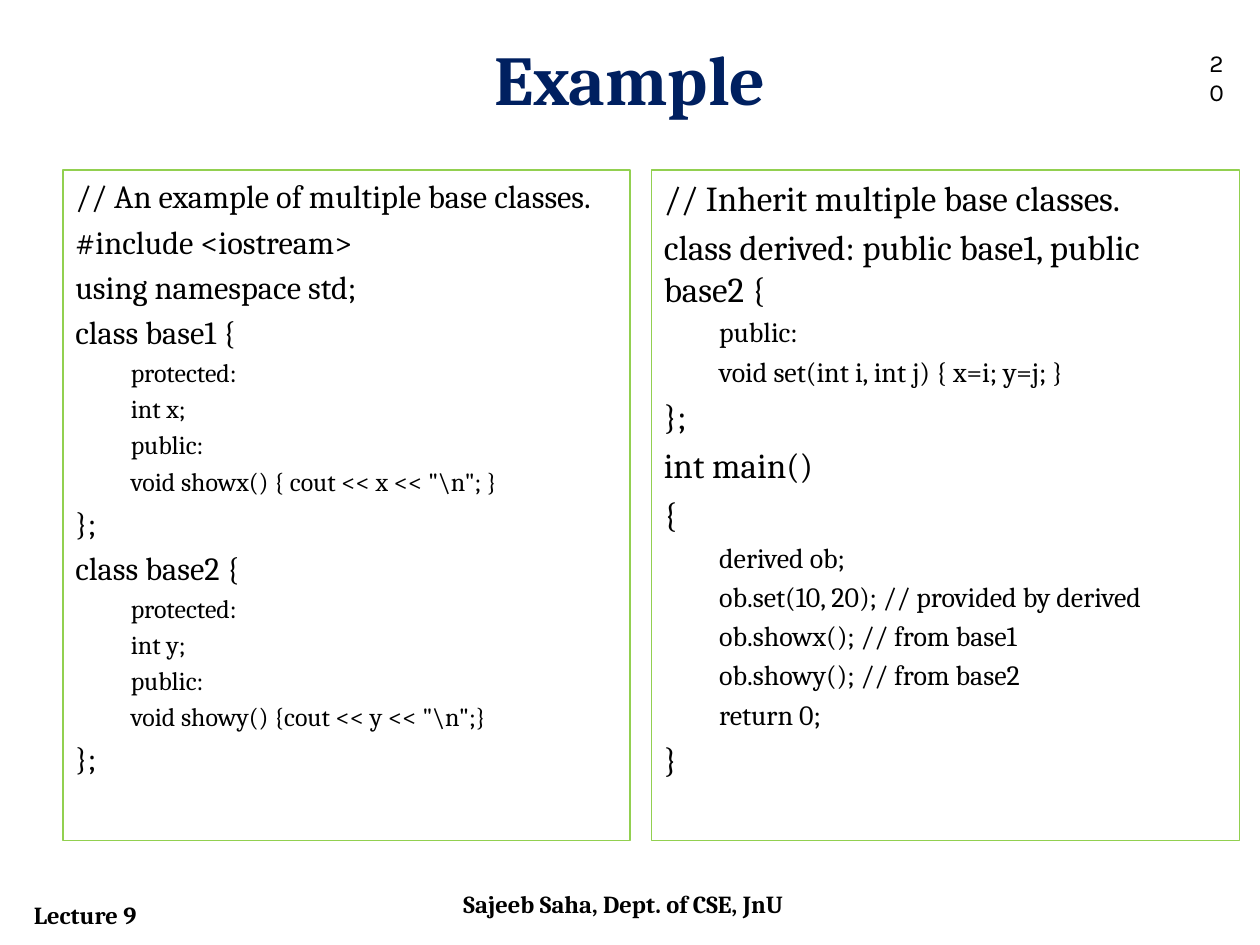
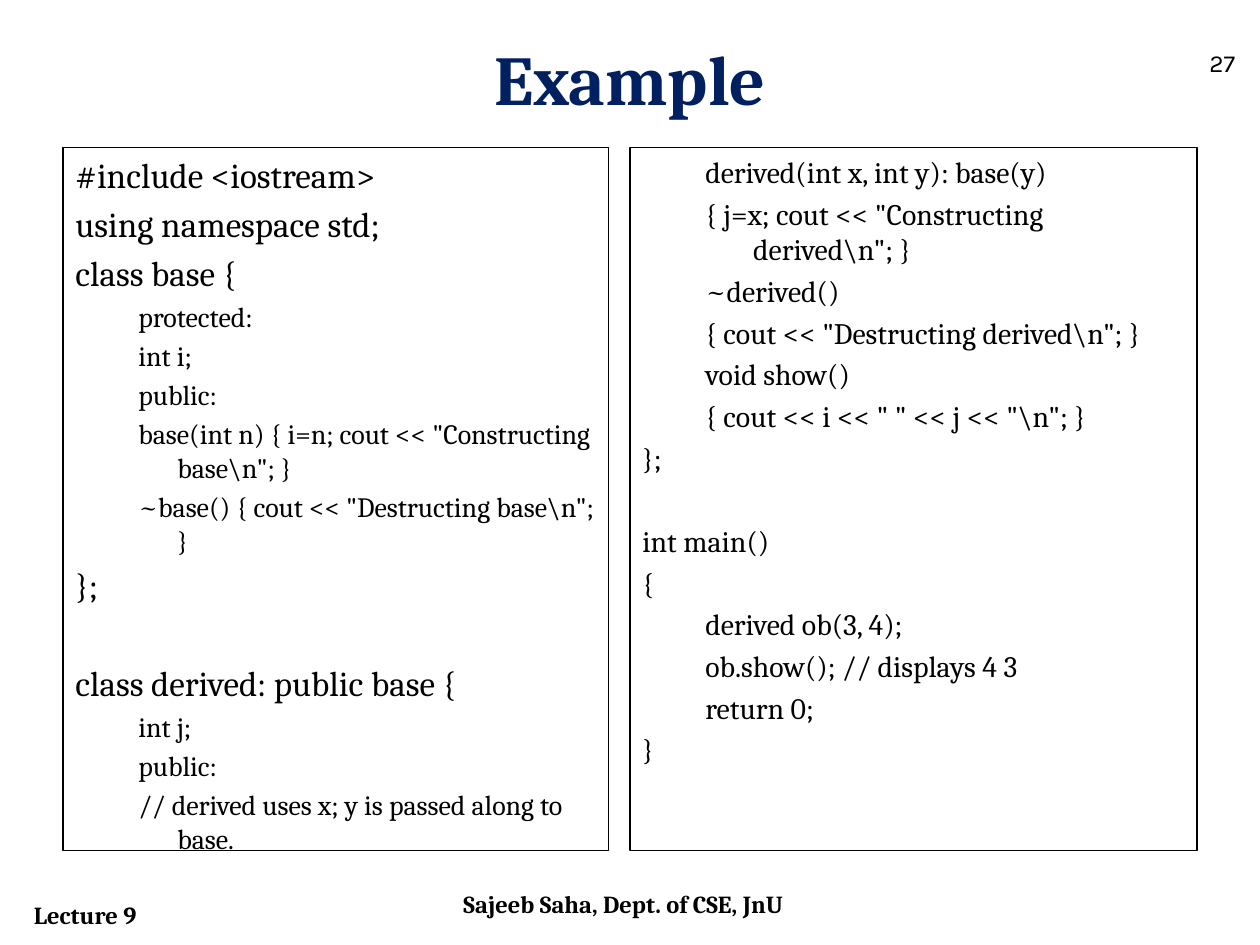
from pptx import Presentation
from pptx.dml.color import RGBColor
from pptx.enum.shapes import MSO_SHAPE
from pptx.enum.text import MSO_ANCHOR, PP_ALIGN
from pptx.util import Inches, Pt

RECT = MSO_SHAPE.RECTANGLE
TOP = MSO_ANCHOR.TOP
LEFT, CENTER = PP_ALIGN.LEFT, PP_ALIGN.CENTER

BLACK = RGBColor(0x00, 0x00, 0x00)
NAVY = RGBColor(0x00, 0x20, 0x60)
GREEN = RGBColor(0x92, 0xD0, 0x50)

SERIF = "Cambria"
SANS = "Karla"

LINE_HEIGHT = 1.2   # of the font size
SPACE_BEFORE = 0.2  # of the font size

# Code listings: indented lines go on the second level
BASE_CLASSES = r"""// An example of multiple base classes.
#include <iostream>
using namespace std;
class base1 {
    protected:
    int x;
    public:
    void showx() { cout << x << "\n"; }
};
class base2 {
    protected:
    int y;
    public:
    void showy() {cout << y << "\n";}
};"""

MULTIPLE_DERIVED = r"""// Inherit multiple base classes.
class derived: public base1, public base2 {
    public:
    void set(int i, int j) { x=i; y=j; }
};
int main()
{
    derived ob;
    ob.set(10, 20); // provided by derived
    ob.showx(); // from base1
    ob.showy(); // from base2
    return 0;
}"""

CONSTRUCTOR_BASE = r"""#include <iostream>
using namespace std;
class base {
    protected:
    int i;
    public:
    base(int n) { i=n; cout << "Constructing base\n"; }
    ~base() { cout << "Destructing base\n"; }
};

class derived: public base {
    int j;
    public:
    // derived uses x; y is passed along to base."""

CONSTRUCTOR_DERIVED = r"""    derived(int x, int y): base(y)
    { j=x; cout << "Constructing derived\n"; }
    ~derived()
    { cout << "Destructing derived\n"; }
    void show()
    { cout << i << " " << j << "\n"; }
};

int main()
{
    derived ob(3, 4);
    ob.show(); // displays 4 3
    return 0;
}"""

# (left margin, first-line indent) in inches for the two code levels
FLUSH = ((0, 0), (0.44, 0))
HANGING = ((0.38, -0.38), (0.81, -0.31))
WIDE_HANGING = ((0.38, -0.38), (0.88, -0.38))


def add_run(p, text, size, font=SERIF, color=BLACK, bold=False):
    r = p.add_run()
    r.text = text
    r.font.size = Pt(size)
    r.font.name = font
    r.font.bold = bold
    r.font.color.rgb = color


def add_label(slide, box, text, size=14, align=LEFT, wrap=True, **style):
    sp = slide.shapes.add_textbox(*map(Inches, box))
    tf = sp.text_frame
    tf.word_wrap = wrap
    p = tf.paragraphs[0]
    p.alignment = align
    add_run(p, text, size, **style)
    return tf


def add_code_box(slide, box, code, sizes, indents, line_color):
    sp = slide.shapes.add_shape(RECT, *map(Inches, box))
    sp.shadow.inherit = False
    sp.fill.background()
    sp.line.color.rgb = line_color
    sp.line.width = Pt(0.75)
    tf = sp.text_frame
    tf.word_wrap = True
    tf.vertical_anchor = TOP

    p, gap = tf.paragraphs[0], 0
    for number, line in enumerate(code.splitlines()):
        if not line:  # an empty line becomes space above the next one
            gap = sizes[0] * (LINE_HEIGHT + SPACE_BEFORE)
            continue
        level = int(line.startswith(" "))
        size = sizes[level]
        if number:
            p = tf.add_paragraph()
            p.space_before = Pt(size * SPACE_BEFORE + gap)
        gap = 0
        p.level = level
        p.alignment = LEFT
        margin, indent = indents[level]
        pPr = p._p.get_or_add_pPr()
        pPr.set("marL", str(Inches(margin)))
        pPr.set("indent", str(Inches(indent)))
        add_run(p, line.strip(), size)


def add_example_slide(prs, page, wrap_page=False):
    """Add a slide with the shared title, footers and page number."""
    slide = prs.slides.add_slide(prs.slide_layouts[6])
    add_label(slide, (0.17, 7.09, 2, 0.34), "Lecture 9", bold=True)
    add_label(slide, (0.5, 0.23, 9, 0.77), "Example", 40, CENTER,
              color=NAVY, bold=True)
    add_label(slide, (3.58, 7.01, 2.83, 0.4),
              "Sajeeb Saha, Dept. of CSE, JnU", bold=True)
    tf = add_label(slide, (9.5, 0.33, 0.42, 0.4), page, wrap=wrap_page,
                   font=SANS)
    if wrap_page:
        tf.margin_right = Inches(0.15)
    return slide


def main():
    prs = Presentation()
    prs.slide_width, prs.slide_height = Inches(10), Inches(7.5)

    # Multiple base classes
    slide = add_example_slide(prs, "20", wrap_page=True)
    add_code_box(slide, (0.5, 1.35, 4.5, 5.32), BASE_CLASSES,
                 (18.5, 14.8), FLUSH, GREEN)
    add_code_box(slide, (5.17, 1.35, 4.67, 5.32), MULTIPLE_DERIVED,
                 (20, 16), FLUSH, GREEN)

    # Passing arguments to a base constructor
    slide = add_example_slide(prs, "27")
    add_code_box(slide, (0.5, 1.17, 4.33, 5.58), CONSTRUCTOR_BASE,
                 (20, 16), HANGING, BLACK)
    add_code_box(slide, (5, 1.17, 4.5, 5.58), CONSTRUCTOR_DERIVED,
                 (17, 17), WIDE_HANGING, BLACK)

    prs.save("out.pptx")


if __name__ == "__main__":
    main()
